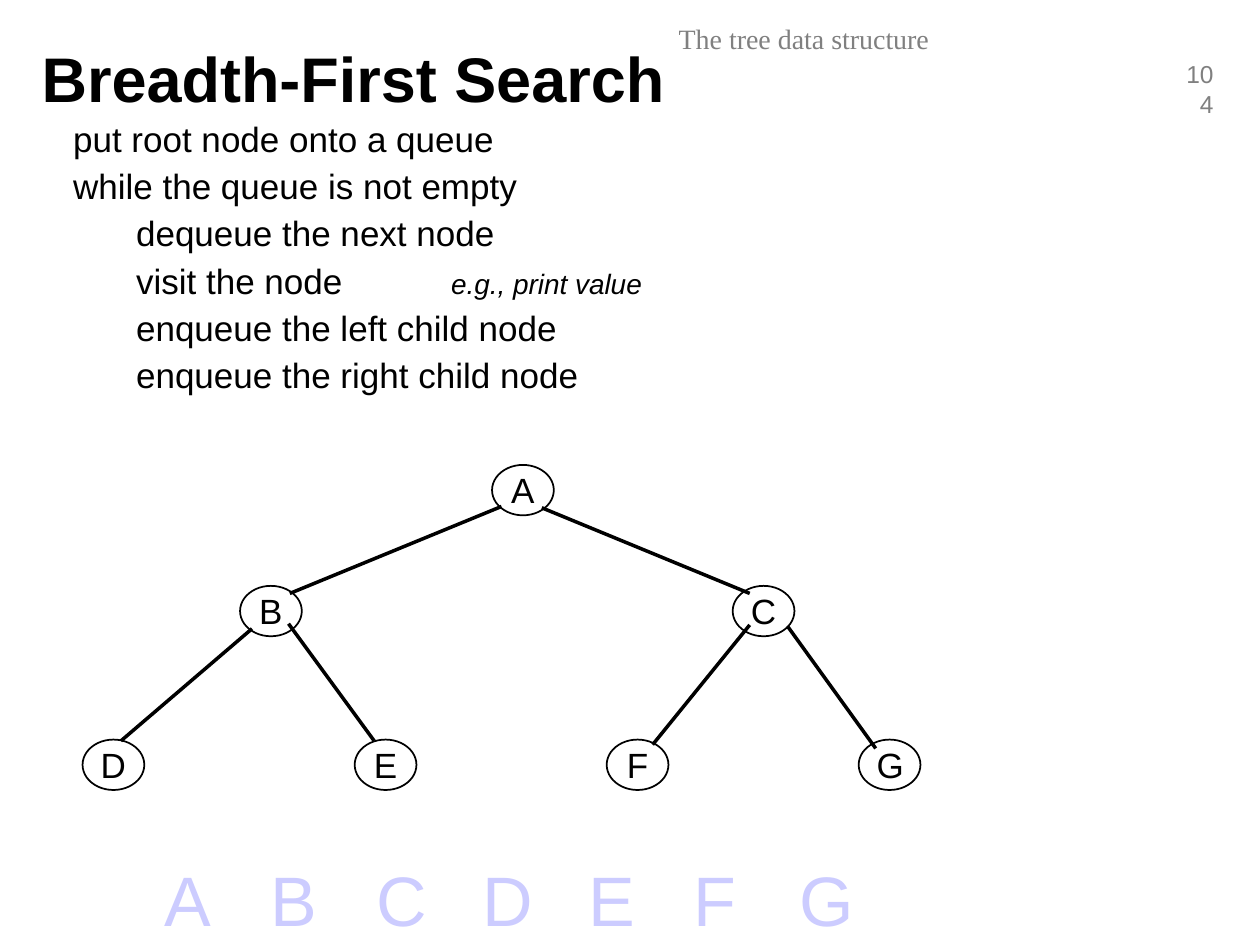
"""Build the breadth-first search slide."""
from dataclasses import dataclass

from lxml import etree
from pptx import Presentation
from pptx import util as u
from pptx.dml.color import RGBColor
from pptx.enum import shapes, text
from pptx.oxml import ns


@dataclass(frozen=True)
class Theme:
    """Colours, fonts and type sizes."""
    ink: str = "000000"
    muted: str = "808080"
    paper: str = "FFFFFF"
    accent: str = "CCCCFF"
    sans: str = "Arial"
    serif: str = "Times New Roman"
    title: int = 36
    body: int = 20
    note: int = 16
    number: int = 14
    order: int = 40


THEME = Theme()
ALIGN = text.PP_ALIGN
NODE_SIZE = (0.49, 0.4)
LABEL_SIZE = (0.4, 0.44)
ORDER_STEP = 0.84
NODES = {
    "A": (4.15, 3.89), "B": (2.15, 4.85), "C": (6.06, 4.85), "D": (0.9, 6.07),
    "E": (3.06, 6.07), "F": (5.06, 6.07), "G": (7.06, 6.07),
}
EDGES = [
    ((3.98, 4.02), (2.3, 4.71)), ((4.3, 4.03), (5.95, 4.71)),
    ((2, 4.99), (0.96, 5.88)), ((5.95, 4.96), (5.18, 5.91)),
    ((6.25, 4.97), (6.95, 5.94)), ((2.29, 4.95), (2.97, 5.88)),
]
STEPS = [
    (1, "put root node onto a queue", ""),
    (1, "while the queue is not empty", ""),
    (2, "dequeue the next node", ""),
    (2, "visit the node\t\t", "e.g., print value"),
    (2, "enqueue the left child node", ""),
    (2, "enqueue the right child node", ""),
]


def add_span(para, words, size=THEME.body, color=THEME.ink, font=THEME.sans,
             bold=False, italic=False):
    """Add formatted words to a paragraph and return the run."""
    span = para.add_run()
    span.text = words
    span.font.size = u.Pt(size)
    span.font.name = font
    span.font.bold = bold
    span.font.italic = italic
    span.font.color.rgb = RGBColor.from_string(color)
    return span


def add_element(parent, tag, **attributes):
    """Append a DrawingML element to a parent."""
    values = {name: str(value) for name, value in attributes.items()}
    return etree.SubElement(parent, ns.qn(tag), values)


def centered(center, size):
    """Return left, top, width and height around a centre."""
    return (center[0] - size[0] / 2, center[1] - size[1] / 2, *size)


class SlideBuilder:
    """Hold the theme and the current page."""

    def __init__(self, page, theme):
        self.page = page
        self.theme = theme

    def place(self, box, at, anchor):
        """Move a placeholder and return its text frame."""
        box.left, box.top, box.width, box.height = map(u.Inches, at)
        frame = box.text_frame
        frame.word_wrap = True
        frame.auto_size = text.MSO_AUTO_SIZE.NONE
        frame.vertical_anchor = anchor
        return frame

    def title(self, words, at):
        """Fill the title placeholder."""
        frame = self.place(self.page.shapes.title, at, text.MSO_ANCHOR.MIDDLE)
        para = frame.paragraphs[0]
        para.alignment = ALIGN.LEFT
        add_span(para, words, size=self.theme.title, bold=True)

    def steps(self, items, at):
        """Fill the body placeholder with indented steps."""
        frame = self.place(self.page.placeholders[1], at, text.MSO_ANCHOR.TOP)
        for index, (level, words, note) in enumerate(items):
            para = frame.add_paragraph() if index else frame.paragraphs[0]
            para.level = level
            para.space_before = u.Pt(3 if index else 0)
            properties = para._p.get_or_add_pPr()
            properties.set("marL", str(u.Inches(level * 0.5)))
            properties.set("indent", "0")
            add_element(properties, "a:buNone")
            add_span(para, words)
            if note:
                add_span(para, note, size=self.theme.note, italic=True)

    def label(self, words, at, align=ALIGN.LEFT, wrap=True, **style):
        """Add a text box and return its paragraph and run."""
        box = self.page.shapes.add_textbox(*map(u.Inches, at))
        box.text_frame.word_wrap = wrap
        para = box.text_frame.paragraphs[0]
        para.alignment = align
        return para, add_span(para, words, **style)

    def node(self, name, center):
        """Add a tree node with its letter."""
        oval = self.page.shapes.add_shape(
            shapes.MSO_SHAPE.OVAL, *map(u.Inches, centered(center, NODE_SIZE)))
        oval.shadow.inherit = False
        oval.fill.solid()
        oval.fill.fore_color.rgb = RGBColor.from_string(self.theme.paper)
        oval.line.color.rgb = RGBColor.from_string(self.theme.ink)
        oval.line.width = u.Pt(1)
        self.label(name, centered(center, LABEL_SIZE), ALIGN.CENTER, wrap=False)

    def edge(self, start, end):
        """Add a line between two tree nodes."""
        line = self.page.shapes.add_connector(
            shapes.MSO_CONNECTOR.STRAIGHT, *map(u.Inches, (*start, *end)))
        line.line.color.rgb = RGBColor.from_string(self.theme.ink)
        line.line.width = u.Pt(2)
        add_element(line._element.spPr, "a:effectLst")

    def visit_order(self, names, at):
        """Add evenly tabbed letters with a text shadow."""
        para, span = self.label("\t".join(names), at, size=self.theme.order,
                                color=self.theme.accent)
        tabs = add_element(para._p.get_or_add_pPr(), "a:tabLst")
        for index in range(1, len(names)):
            add_element(tabs, "a:tab", pos=u.Inches(index * ORDER_STEP), algn="l")
        effects = etree.Element(ns.qn("a:effectLst"))
        shadow = add_element(effects, "a:outerShdw", dist=u.Pt(2), dir=2700000)
        add_element(shadow, "a:srgbClr", val=self.theme.ink)
        span.font._element.find(ns.qn("a:solidFill")).addnext(effects)


def main():
    """Build and save the deck."""
    deck = Presentation()
    deck.slide_width, deck.slide_height = u.Inches(10), u.Inches(7.5)
    page = deck.slides.add_slide(deck.slide_layouts[1])
    builder = SlideBuilder(page, THEME)
    builder.label("104", (9.29, 0.42, 0.44, 0.33), ALIGN.RIGHT,
                  size=THEME.number, color=THEME.muted)
    builder.label("The tree data structure", (3.19, 0.12, 6.38, 0.4), ALIGN.CENTER,
                  size=THEME.note, color=THEME.muted, font=THEME.serif)
    builder.title("Breadth-First Search", (0.23, 0.15, 8.03, 0.93))
    builder.steps(STEPS, (-0.02, 0.88, 5.78, 2.29))
    for name, center in NODES.items():
        builder.node(name, center)
    for start, end in EDGES:
        builder.edge(start, end)
    builder.visit_order(list(NODES), (1.21, 6.75, 5.7, 0.78))
    deck.save("out.pptx")


if __name__ == "__main__":
    main()
